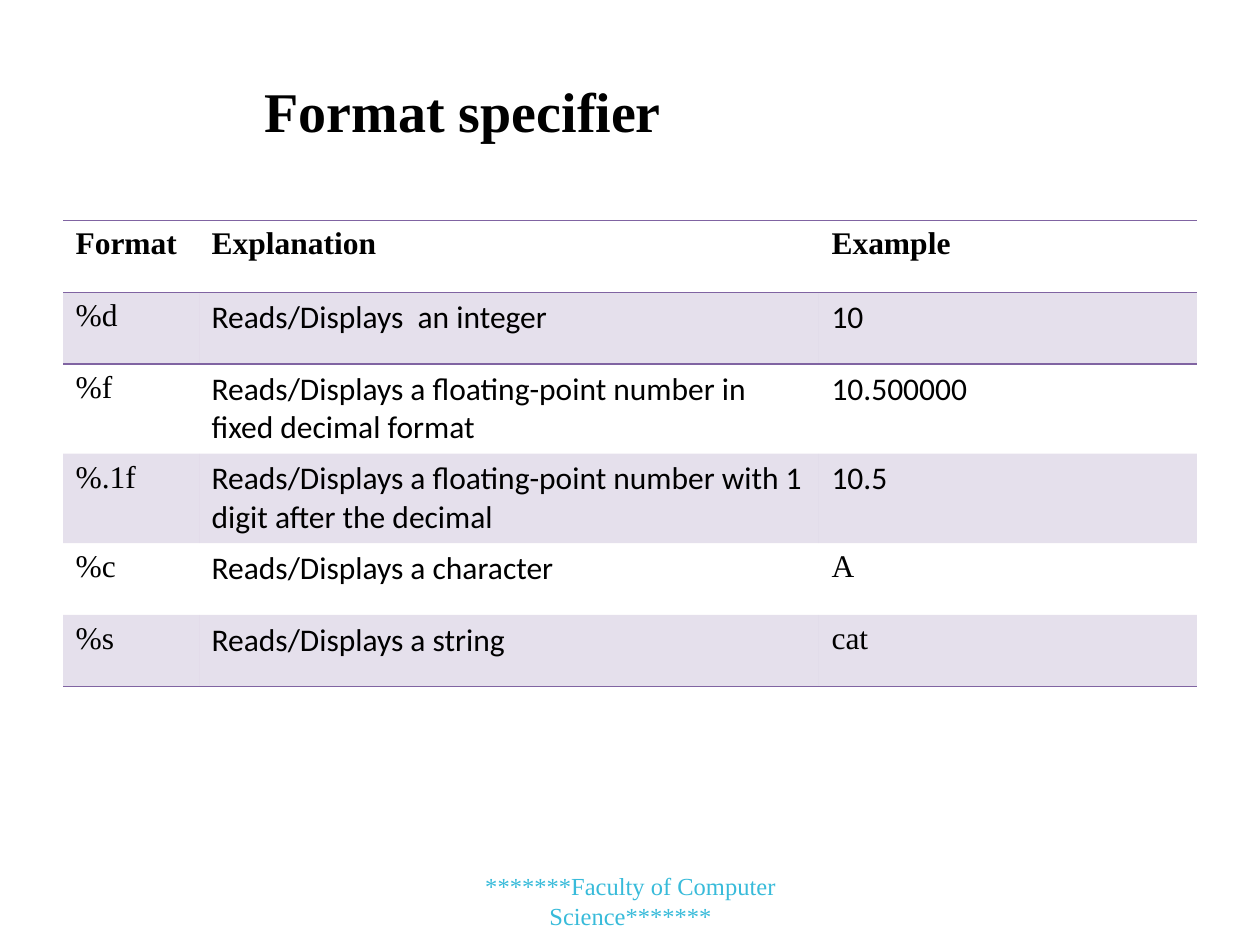
from lxml.etree import SubElement
from pptx import Presentation
from pptx.dml.color import RGBColor
from pptx.enum.text import MSO_ANCHOR, PP_ALIGN
from pptx.oxml import parse_xml
from pptx.oxml.ns import nsdecls, qn
from pptx.util import Inches, Pt

SERIF, SANS = "Times New Roman", "Calibri"
BLACK, PURPLE, CYAN = "000000", "8064A2", "38BBDA"
NO_STYLE = "{2D5ABB26-0587-4C30-8999-92F81FD0307C}"
COLUMNS = (1.08, 4.92, 3)
ROW_HEIGHT = 0.57
ROWS = [
    ("Format", "Explanation", "Example"),
    ("%d", "Reads/Displays  an integer", "10"),
    ("%f", "Reads/Displays a floating-point number in fixed decimal format",
     "10.500000"),
    ("%.1f", "Reads/Displays a floating-point number with 1 digit after the decimal",
     "10.5"),
    ("%c", "Reads/Displays a character", "A"),
    ("%s", "Reads/Displays a string", "cat"),
]


def color(value):
    """Turn a hex string into a colour."""
    return RGBColor.from_string(value)


def write(tf, text, size, font=SERIF, hue=BLACK, bold=False, align=None):
    """Put one formatted run into the first paragraph of a text frame."""
    tf.word_wrap = True
    p = tf.paragraphs[0]
    p.alignment = align
    r = p.add_run()
    r.text = text
    r.font.size, r.font.name, r.font.bold = Pt(size), font, bold
    r.font.color.rgb = color(hue)


def add_title(slide, left, top, width, height):
    """Place the title placeholder in the given box."""
    sp = slide.shapes.title
    sp.left, sp.top, sp.width, sp.height = map(Inches, (left, top, width, height))
    sp.text_frame.vertical_anchor = MSO_ANCHOR.MIDDLE
    write(sp.text_frame, "Format specifier", 32, bold=True, align=PP_ALIGN.CENTER)


def add_rule(cell, side, position):
    """Draw a purple line on one side of a cell."""
    line = parse_xml(
        f'<a:{side} {nsdecls("a")} w="12700"><a:solidFill>'
        f'<a:srgbClr val="{PURPLE}"/></a:solidFill></a:{side}>')
    cell._tc.get_or_add_tcPr().insert(position, line)


def shade(cell, banded):
    """Give a cell a pale purple band or no fill."""
    if not banded:
        cell.fill.background()
        return
    cell.fill.solid()
    cell.fill.fore_color.rgb = color(PURPLE)
    tint = cell._tc.tcPr.find(qn("a:solidFill"))[0]
    SubElement(tint, qn("a:alpha")).set("val", "20000")


def add_format_table(slide, left, top):
    """Place the table of format specifiers at the given corner."""
    box = map(Inches, (left, top, sum(COLUMNS), ROW_HEIGHT * len(ROWS)))
    table = slide.shapes.add_table(len(ROWS), len(COLUMNS), *box).table
    table.horz_banding = False
    table._tbl.tblPr.find(qn("a:tableStyleId")).text = NO_STYLE
    for column, width in zip(table.columns, COLUMNS):
        column.width = Inches(width)
    for i, row in enumerate(ROWS):
        table.rows[i].height = Inches(ROW_HEIGHT)
        for j, text in enumerate(row):
            cell = table.cell(i, j)
            header = i == 0
            sans = not header and (j == 1 or (j == 2 and text[0].isdigit()))
            write(cell.text_frame, text, 18, SANS if sans else SERIF, bold=header)
            shade(cell, i % 2 == 1)
            if i in (0, len(ROWS) - 1):
                add_rule(cell, "lnB", 0)
            if i < 2:
                add_rule(cell, "lnT", 0)


def add_footer(slide, left, top, width, height):
    """Place the centred faculty line in the given box."""
    sp = slide.shapes.add_textbox(*map(Inches, (left, top, width, height)))
    sp.text_frame.vertical_anchor = MSO_ANCHOR.MIDDLE
    write(sp.text_frame, "*******Faculty of Computer Science*******", 14,
          hue=CYAN, align=PP_ALIGN.CENTER)


prs = Presentation()
prs.slide_width, prs.slide_height = Inches(10), Inches(7.5)
s = prs.slides.add_slide(prs.slide_layouts[5])
add_title(s, 0.25, 0.25, 6.85, 1.25)
add_format_table(s, 0.5, 1.75)
add_footer(s, 3.42, 6.95, 3.17, 0.4)
prs.save("out.pptx")
